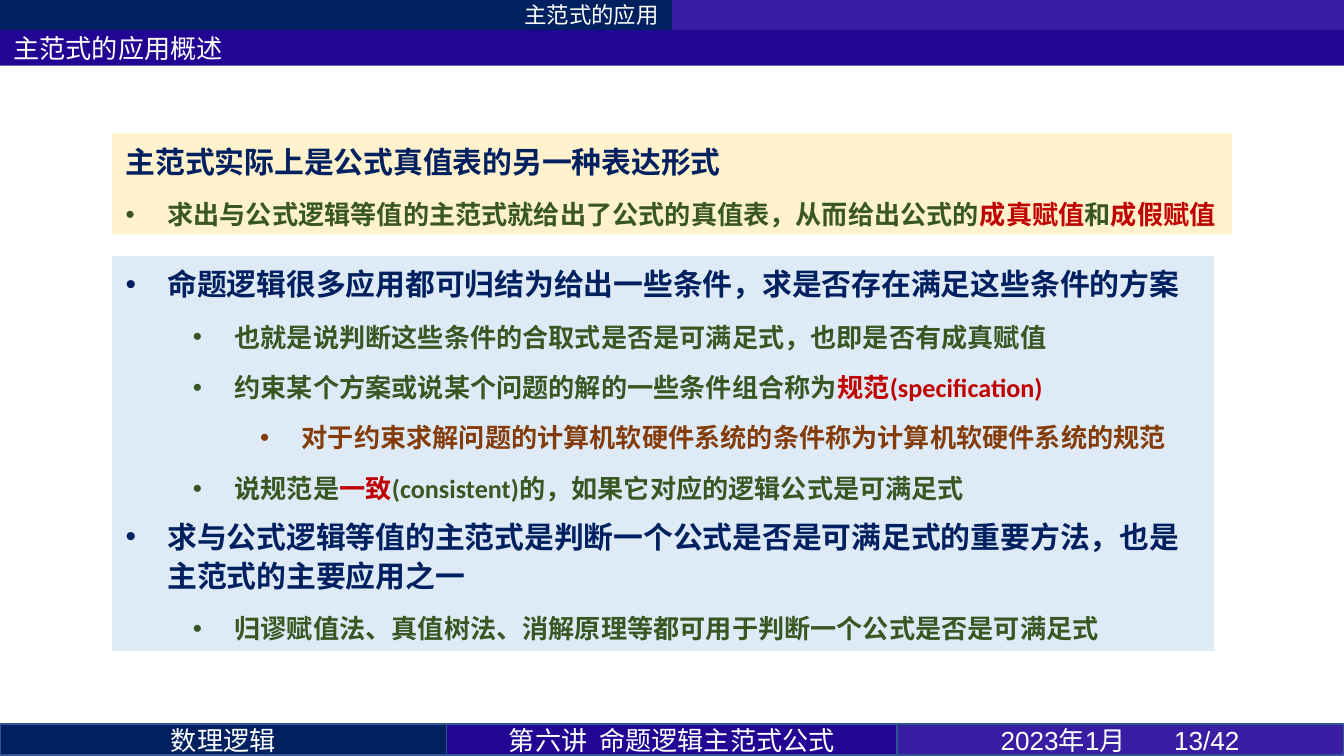
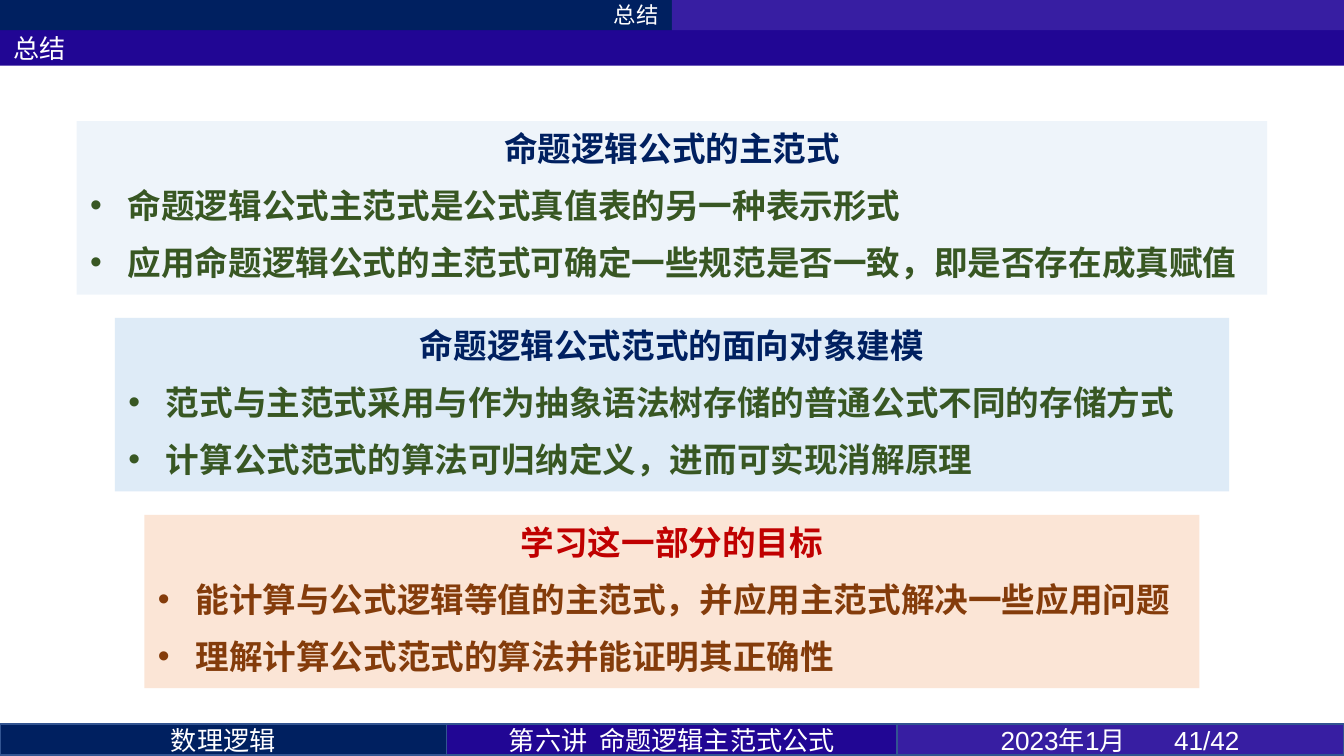
from lxml import etree
from pptx import Presentation
from pptx import util as u
from pptx.dml.color import RGBColor
from pptx.enum import shapes, text
from pptx.oxml.ns import qn

C = {"navy": "002060", "indigo": "210694", "violet": "371EA2", "edge": "325491",
     "white": "FFFFFF", "green": "385723", "red": "C00000", "brown": "843C0B",
     "cream": "FFF2CC", "sky": "DEEBF7", "peach": "FBE5D6"}
NOTO, CALIBRI, ARIAL = "Noto Sans CJK SC", "Calibri", "Arial"
W, H = 25.4, 14.29
AL = text.PP_ALIGN


def place(sp, left, top, width, height, fill, anchor=text.MSO_ANCHOR.MIDDLE):
    """Position and fill a shape or placeholder; return its text frame."""
    sp.left, sp.top, sp.width, sp.height = map(u.Cm, (left, top, width, height))
    sp.fill.solid()
    sp.fill.fore_color.rgb = RGBColor.from_string(C[fill])
    sp.line.fill.background()
    tf = sp.text_frame
    tf.word_wrap = True
    tf.auto_size = text.MSO_AUTO_SIZE.NONE
    tf.vertical_anchor = anchor
    return tf


def add_runs(p, runs, size, font, bold=False):
    for words, color in runs:
        r = p.add_run()
        r.text = words
        r.font.size = u.Pt(size)
        r.font.bold = bold
        r.font.color.rgb = RGBColor.from_string(C[color])
        r.font.name = font
        etree.SubElement(r.font._element, qn("a:ea"), typeface=NOTO)


# Slide content: paragraphs are (level or None for a heading, size, font, runs)
slides = [
    dict(section="主范式的应用", title="主范式的应用概述", page="13/42",
         spacing=u.Pt(21), before=6, after=0, hang=0.79, boxes=[
             ((2.12, 2.52, 21.16, 1.91), "cream", None, [
                 (None, 16, NOTO, [("主范式实际上是公式真值表的另一种表达形式", "navy")]),
                 (0, 14, CALIBRI, [
                     ("求出与公式逻辑等值的主范式就给出了公式的真值表，从而给出公式的", "green"),
                     ("成真赋值", "red"), ("和", "green"), ("成假赋值", "red")]),
             ]),
             ((2.12, 4.84, 20.83, 7.47), "sky", None, [
                 (0, 16, NOTO, [
                     ("命题逻辑很多应用都可归结为给出一些条件，求是否存在满足这些条件的方案", "navy")]),
                 (1, 14, CALIBRI, [
                     ("也就是说判断这些条件的合取式是否是可满足式，也即是否有成真赋值", "green")]),
                 (1, 14, CALIBRI, [
                     ("约束某个方案或说某个问题的解的一些条件组合称为", "green"),
                     ("规范(specification)", "red")]),
                 (2, 14, NOTO, [
                     ("对于约束求解问题的计算机软硬件系统的条件称为计算机软硬件系统的规范", "brown")]),
                 (1, 14, CALIBRI, [
                     ("说规范是", "green"), ("一致", "red"),
                     ("(consistent)的，如果它对应的逻辑公式是可满足式", "green")]),
                 (0, 16, NOTO, [
                     ("求与公式逻辑等值的主范式是判断一个公式是否是可满足式的重要方法，"
                      "也是主范式的主要应用之一", "navy")]),
                 (1, 14, CALIBRI, [
                     ("归谬赋值法、真值树法、消解原理等都可用于判断一个公式是否是可满足式", "green")]),
             ]),
         ]),
    dict(section="总结", title="总结", page="41/42",
         spacing=1.0, before=4.5, after=4.5, hang=0.71, boxes=[]),
]

# The summary boxes are centred and stacked at an equal pitch
summary = [
    (22.5, "sky", 50, "navy", "green", "命题逻辑公式的主范式", [
        "命题逻辑公式主范式是公式真值表的另一种表示形式",
        "应用命题逻辑公式的主范式可确定一些规范是否一致，即是否存在成真赋值"]),
    (21.06, "sky", None, "navy", "green", "命题逻辑公式范式的面向对象建模", [
        "范式与主范式采用与作为抽象语法树存储的普通公式不同的存储方式",
        "计算公式范式的算法可归纳定义，进而可实现消解原理"]),
    (19.94, "peach", None, "red", "brown", "学习这一部分的目标", [
        "能计算与公式逻辑等值的主范式，并应用主范式解决一些应用问题",
        "理解计算公式范式的算法并能证明其正确性"]),
]
for i, (width, fill, alpha, head_color, color, heading, items) in enumerate(summary):
    paras = [(None, 18, CALIBRI, [(heading, head_color)])]
    paras += [(0, 18, NOTO, [(item, color)]) for item in items]
    pos = ((W - width) / 2, 2.29 + 3.72 * i, width, 3.28)
    slides[1]["boxes"].append((pos, fill, alpha, paras))

prs = Presentation()
prs.slide_width, prs.slide_height = u.Cm(W), u.Cm(H)

for d in slides:
    s = prs.slides.add_slide(prs.slide_layouts[4])
    bodies = [ph for ph in s.placeholders if ph.placeholder_format.idx > 0]
    count = len(d["boxes"])
    for ph in bodies[count:]:
        ph._element.getparent().remove(ph._element)

    # Title band
    tf = place(s.shapes.title, 0, 0.57, W, 0.67, "indigo")
    p = tf.paragraphs[0]
    p.alignment = AL.LEFT
    add_runs(p, [(d["title"], "white")], 14, CALIBRI)

    # Text boxes
    for sp, (pos, fill, alpha, paras) in zip(bodies, d["boxes"]):
        tf = place(sp, *pos, fill, text.MSO_ANCHOR.TOP)
        if alpha:
            clr = sp._element.spPr.find(".//" + qn("a:srgbClr"))
            etree.SubElement(clr, qn("a:alpha"), val=str(alpha * 1000))
        for i, (level, size, font, runs) in enumerate(paras):
            p = tf.paragraphs[0] if i == 0 else tf.add_paragraph()
            pPr = p._p.get_or_add_pPr()
            if level is None:
                pPr.set("marL", "0")
                pPr.set("indent", "0")
                etree.SubElement(pPr, qn("a:buNone"))
                p.alignment = AL.CENTER if size == 18 else AL.LEFT
            else:
                p.level = level
                p.alignment = AL.LEFT
                pPr.set("marL", str(u.Cm(d["hang"] + 1.27 * level)))
                pPr.set("indent", str(-u.Cm(d["hang"])))
                etree.SubElement(pPr, qn("a:buFont"), typeface=ARIAL)
                etree.SubElement(pPr, qn("a:buChar"), char="•")
            p.line_spacing = d["spacing"]
            p.space_before = u.Pt(d["before"] if i else 0)
            p.space_after = u.Pt(d["after"])
            add_runs(p, runs, size, font, True)

    # Section bands above the title and the three footer bands
    foot = (13.69, 0.58)
    bands = [
        (0, 0, 12.7, 0.57, "navy", d["section"], 12, NOTO, AL.RIGHT),
        (12.7, 0, 12.7, 0.57, "violet", "", 12, NOTO, AL.LEFT),
        (0, *foot, 8.44, "navy", "数理逻辑", 14, NOTO, AL.CENTER),
        (8.44, *foot, 8.52, "indigo", "第六讲  命题逻辑主范式公式", 14, NOTO, AL.CENTER),
        (16.96, *foot, 8.44, "violet", "2023年1月\t" + d["page"], 14, ARIAL, AL.LEFT),
    ]
    for left, top, a, b, fill, words, size, font, align in bands:
        width, height = max(a, b), min(a, b)
        sp = s.shapes.add_shape(shapes.MSO_SHAPE.RECTANGLE, 0, 0, 0, 0)
        sp.shadow.inherit = False
        tf = place(sp, left, top, width, height, fill)
        if top:
            sp.line.color.rgb = RGBColor.from_string(C["edge"])
            sp.line.width = u.Pt(1)
        p = tf.paragraphs[0]
        p.alignment = align
        if "\t" in words:
            # Date and page number sit on a tab stop
            tf.margin_left = u.Cm(1.95)
            tabs = etree.SubElement(p._p.get_or_add_pPr(), qn("a:tabLst"))
            etree.SubElement(tabs, qn("a:tab"), pos=str(u.Cm(3.28)), algn="l")
        if words:
            add_runs(p, [(words, "white")], size, font)

prs.save("out.pptx")
